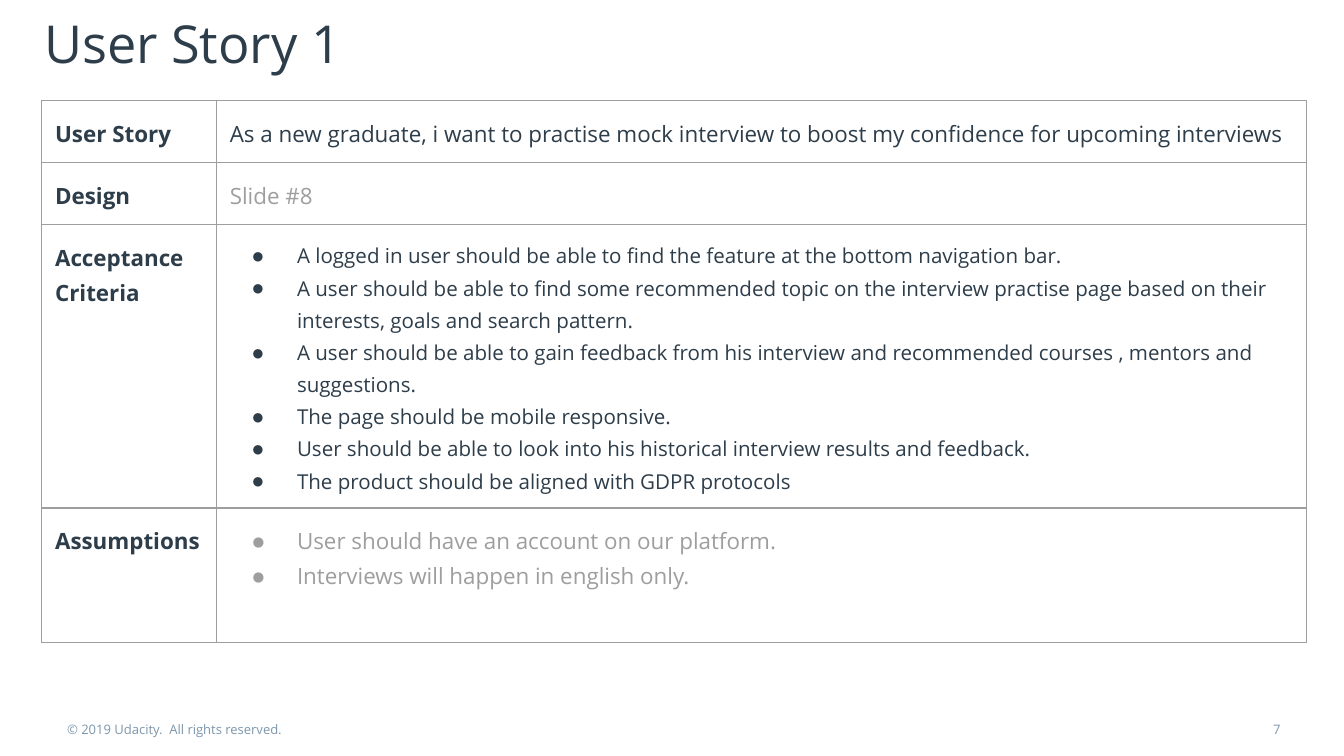
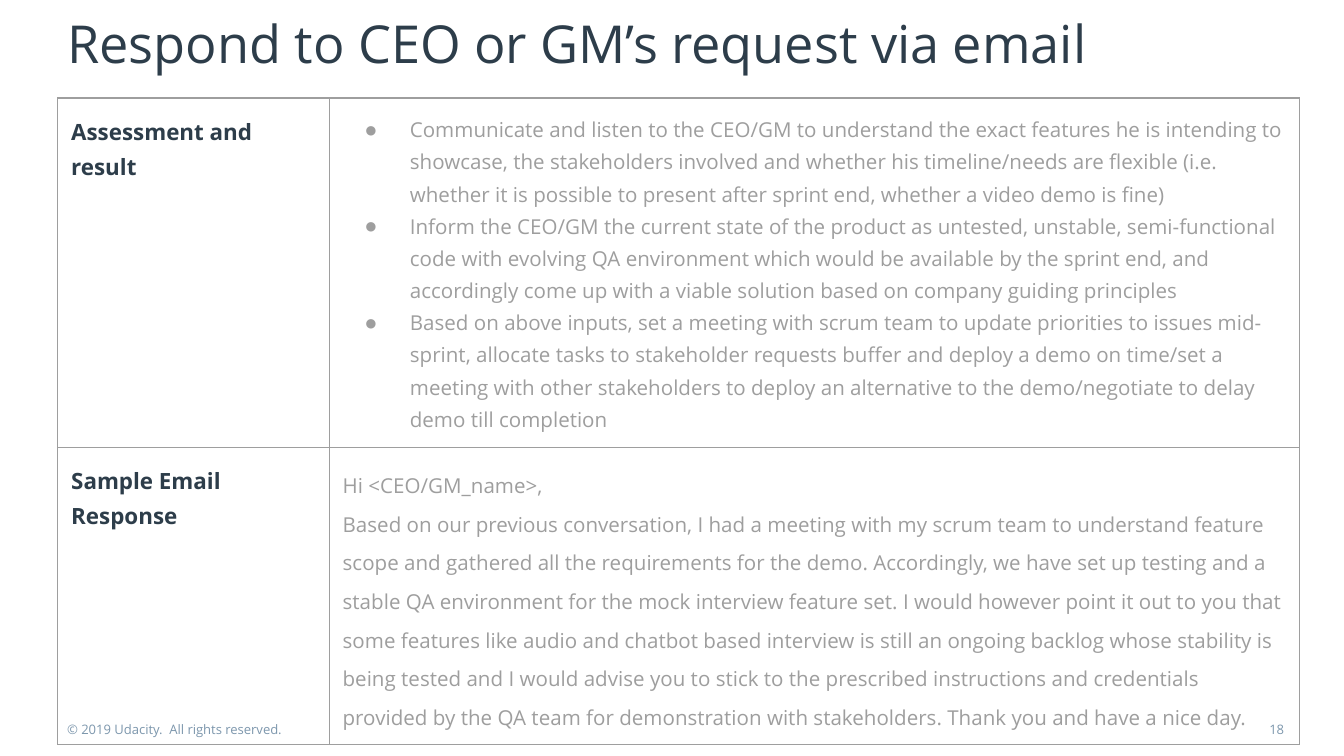
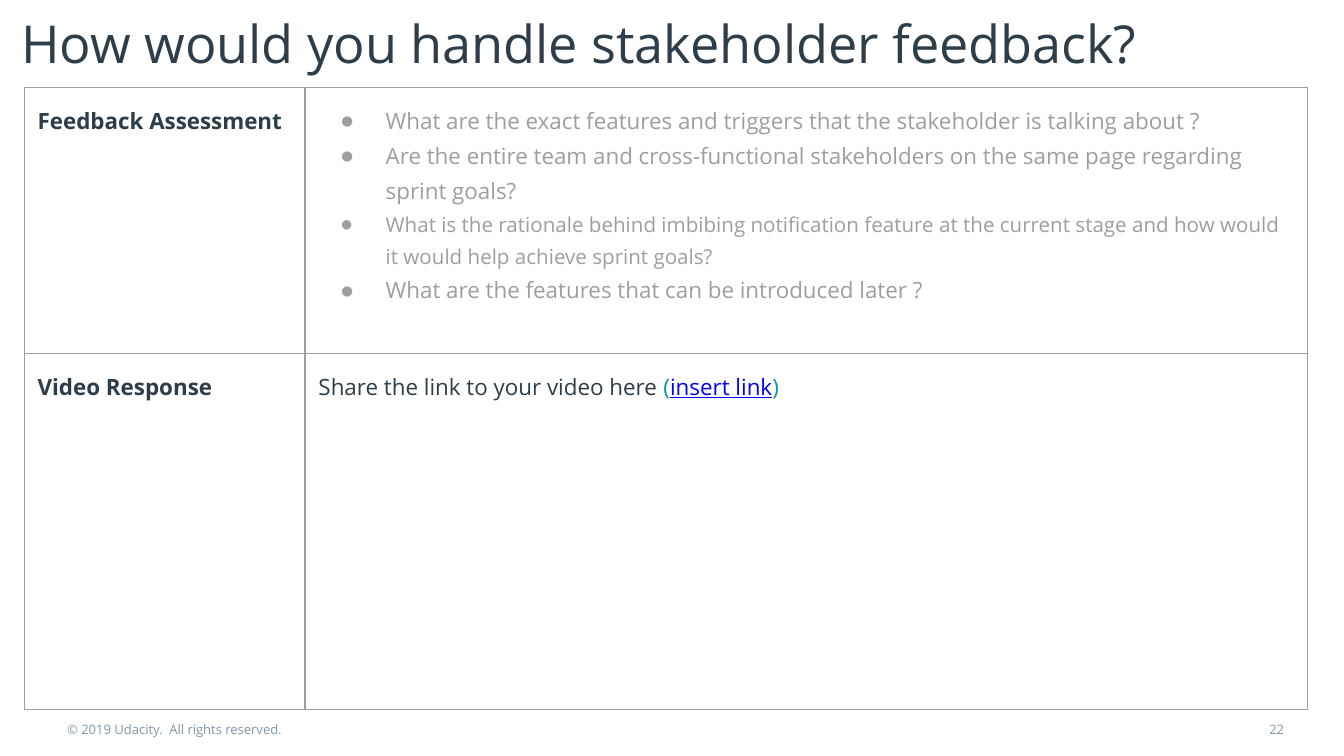
"""Build three product management slides, each with a title, a bordered table and a footer."""
from lxml import etree
from pptx import Presentation
from pptx import util as u
from pptx.dml.color import RGBColor
from pptx.enum import text
from pptx.oxml import ns

FONT = "Open Sans"
INK = "2D3D4A"
GREY = "9E9E9E"
FOOTER = "7D97AD"
TEAL = "0097A7"
LINK = "0000FF"


def style_text(para, size, colour, bold=False):
    for span in para.runs:
        span.font.name = FONT
        span.font.size = u.Pt(size)
        span.font.bold = bold
        span.font.color.rgb = RGBColor.from_string(colour)


def add_label(page, words, left, top, width, height, size, colour):
    box = page.shapes.add_textbox(*map(u.Inches, (left, top, width, height)))
    frame = box.text_frame
    frame.margin_left = frame.margin_right = frame.margin_top = frame.margin_bottom = 0
    frame.word_wrap = True
    frame.text = words
    style_text(frame.paragraphs[0], size, colour)
    return frame.paragraphs[0]


story_rows = [
    ("User Story", 0.46, 12, INK, 1.15, False, [
        "As a new graduate, i want to practise mock interview to boost my confidence for upcoming interviews"]),
    ("Design", 0.46, 12, GREY, 1.15, False, ["Slide #8"]),
    ("Acceptance Criteria", 2.11, 11, INK, 1.15, True, [
        "A logged in user should be able to find the feature at the bottom navigation bar.",
        "A user should be able to find some recommended topic on the interview practise page "
        "based on their interests, goals and search pattern.",
        "A user should be able to gain feedback from his interview and recommended courses , "
        "mentors and suggestions.",
        "The page should be mobile responsive.",
        "User should be able to look into his historical interview results and feedback.",
        "The product should be aligned with GDPR protocols"]),
    ("Assumptions", 1, 12, GREY, 1.15, True, [
        "User should have an account on our platform.",
        "Interviews will happen in english only."]),
]
email_rows = [
    ("Assessment and result", 2.6, 11, GREY, 1.15, True, [
        "Communicate and listen to the CEO/GM to understand the exact features he is intending to "
        "showcase, the stakeholders involved and whether his timeline/needs are flexible (i.e. "
        "whether it is possible to present after sprint end, whether a video demo is fine)",
        "Inform the CEO/GM the current state of the product as untested, unstable, semi-functional "
        "code with evolving QA environment which would be available by the sprint end, and "
        "accordingly come up with a viable solution based on company guiding principles",
        "Based on above inputs, set a meeting with scrum team to update priorities to issues "
        "mid-sprint, allocate tasks to stakeholder requests buffer and deploy a demo on time/set a "
        "meeting with other stakeholders to deploy an alternative to the demo/negotiate to delay "
        "demo till completion"]),
    ("Sample Email Response", 2.21, 11, GREY, 1.38, False, [
        "Hi <CEO/GM_name>,",
        "Based on our previous conversation, I had a meeting with my scrum team to understand "
        "feature scope and gathered all the requirements for the demo. Accordingly, we have set up "
        "testing and a stable QA environment for the mock interview feature set. I would however "
        "point it out to you that some features like audio and chatbot based interview is still an "
        "ongoing backlog whose stability is being tested and I would advise you to stick to the "
        "prescribed instructions and credentials provided by the QA team for demonstration with "
        "stakeholders. Thank you and have a nice day."]),
]
feedback_rows = [
    ("Feedback Assessment", 1.98, 12, GREY, 1.15, True, [
        "What are the exact features and triggers that the stakeholder is talking about ?",
        "Are the entire team and cross-functional stakeholders on the same page regarding sprint goals?",
        "What is the rationale behind imbibing notification feature at the current stage and how "
        "would it would help achieve sprint goals?",
        "What are the features that can be introduced later ?"]),
    ("Video Response", 2.65, 12, INK, 1.15, False, ["Share the link to your video here "]),
]
slides = [
    ("User Story 1", 0.33, 9, "7", 0.31, 0.75, (1.3, 8.11), story_rows),
    ("Respond to CEO or GM’s request via email", 0.5, 9, "18", 0.43, 0.73, (2.02, 7.22), email_rows),
    ("How would you handle stakeholder feedback?", 0.16, 9.55, "22", 0.18, 0.65, (2.09, 7.46),
     feedback_rows),
]

deck = Presentation()
deck.slide_width, deck.slide_height = u.Inches(10), u.Inches(5.625)

for title, title_left, title_width, number, left, top, widths, rows in slides:
    page = deck.slides.add_slide(deck.slide_layouts[6])
    add_label(page, "© 2019 Udacity.  All rights reserved.", 0.5, 5.37, 4.33, 0.12, 7, FOOTER)
    add_label(page, title, title_left, 0.08, title_width, 0.65, 28, INK)
    page_number = add_label(page, number, 9.4, 5.37, 0.2, 0.12, 7, FOOTER)
    page_number.alignment = text.PP_ALIGN.CENTER

    height = sum(row[1] for row in rows)
    table = page.shapes.add_table(
        len(rows), 2, *map(u.Inches, (left, top, sum(widths), height))).table
    table.first_row = table.horz_banding = False
    for column, width in zip(table.columns, widths):
        column.width = u.Inches(width)

    for index, (heading, row_height, size, colour, spacing, bulleted, lines) in enumerate(rows):
        table.rows[index].height = u.Inches(row_height)
        heading_cell, body_cell = table.cell(index, 0), table.cell(index, 1)
        heading_cell.text_frame.text = heading
        heading_cell.text_frame.paragraphs[0].line_spacing = 1.15
        style_text(heading_cell.text_frame.paragraphs[0], 12, INK, True)

        body_cell.text_frame.text = "\n".join(lines)
        for para in body_cell.text_frame.paragraphs:
            para.line_spacing = spacing
            if bulleted:
                props = para._p.get_or_add_pPr()
                props.set("marL", str(u.Inches(0.5)))
                props.set("indent", str(u.Inches(-0.33)))
                bullet_colour = etree.SubElement(props, ns.qn("a:buClr"))
                etree.SubElement(bullet_colour, ns.qn("a:srgbClr"), val=colour)
                etree.SubElement(props, ns.qn("a:buSzPct"), val="60000")
                etree.SubElement(props, ns.qn("a:buFont"), typeface=FONT)
                etree.SubElement(props, ns.qn("a:buChar"), char="●")
            style_text(para, size, colour)

        for cell in (heading_cell, body_cell):
            cell.margin_left = cell.margin_right = cell.margin_top = cell.margin_bottom = u.Inches(0.1)
            props = cell._tc.get_or_add_tcPr()
            for side in ("a:lnL", "a:lnR", "a:lnT", "a:lnB"):
                border = etree.SubElement(props, ns.qn(side), w=str(u.Pt(0.75)))
                border_fill = etree.SubElement(border, ns.qn("a:solidFill"))
                etree.SubElement(border_fill, ns.qn("a:srgbClr"), val=GREY)
            cell.fill.background()

rationale = table.cell(0, 1).text_frame.paragraphs[2]
style_text(rationale, 11, GREY)

video = table.cell(1, 1).text_frame.paragraphs[0]
for words, colour in (("(", TEAL), ("insert link", LINK), (")", TEAL)):
    span = video.add_run()
    span.text = words
    span.font.name = FONT
    span.font.size = u.Pt(12)
    span.font.color.rgb = RGBColor.from_string(colour)
    span.font.underline = colour == LINK

deck.save("out.pptx")
